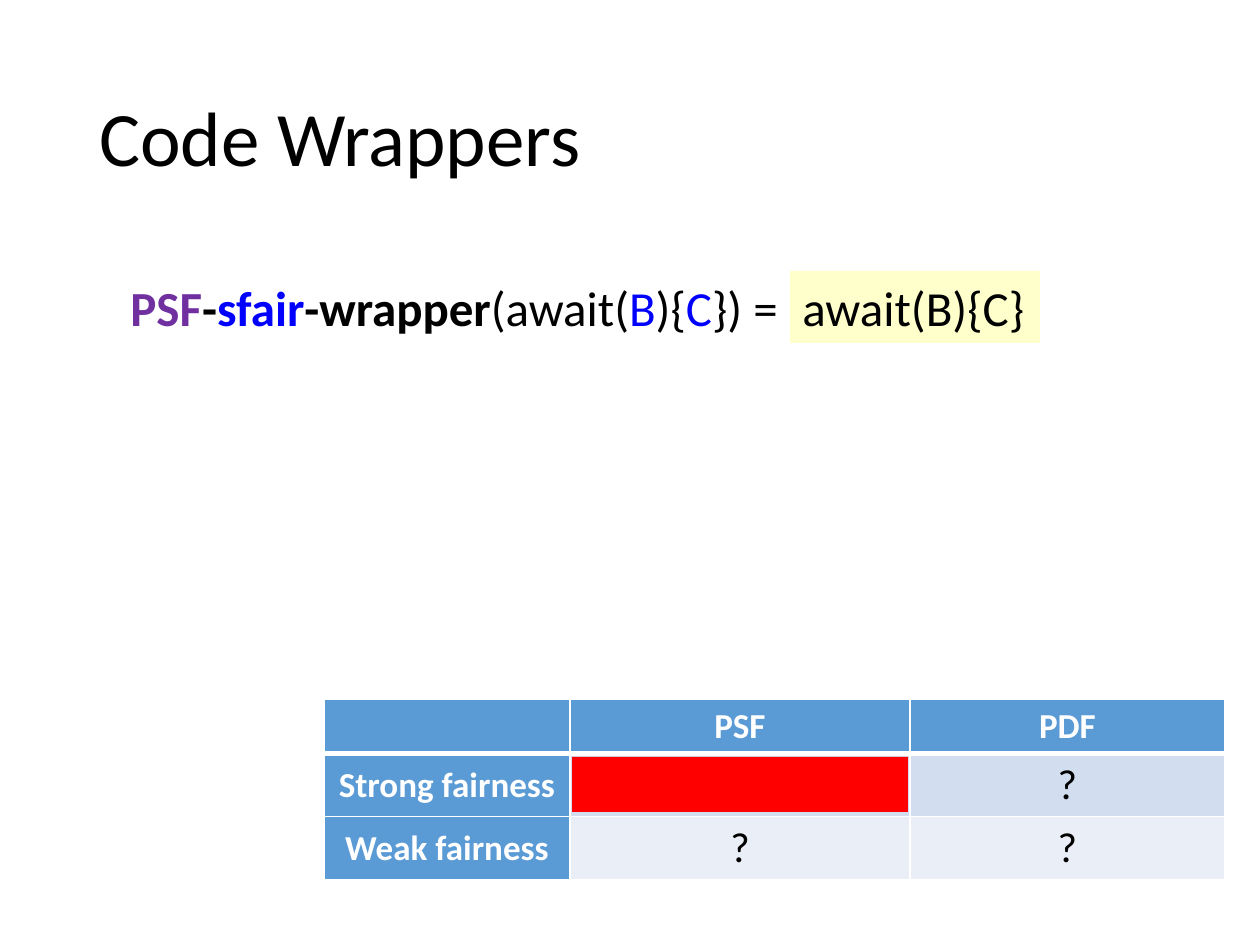
from dataclasses import dataclass
from typing import Optional

import lxml.etree
import pptx
import pptx.dml.color
import pptx.enum.shapes
import pptx.enum.text
import pptx.oxml.ns
import pptx.util

RGBColor = pptx.dml.color.RGBColor
MSO_ANCHOR = pptx.enum.text.MSO_ANCHOR

BLACK = RGBColor(0x00, 0x00, 0x00)
WHITE = RGBColor(0xFF, 0xFF, 0xFF)
PURPLE = RGBColor(0x70, 0x30, 0xA0)
BLUE = RGBColor(0x00, 0x00, 0xFF)
RED = RGBColor(0xFF, 0x00, 0x00)
YELLOW = RGBColor(0xFF, 0xFF, 0xCC)
HEADER = RGBColor(0x5B, 0x9B, 0xD5)
BANDS = (RGBColor(0xD2, 0xDE, 0xEF), RGBColor(0xEA, 0xEF, 0xF7))

FONT = "Calibri"
PX_PER_INCH = 126


@dataclass(frozen=True)
class Box:
    left: int
    top: int
    width: int
    height: int

    def emu(self) -> tuple:
        return px(self.left), px(self.top), px(self.width), px(self.height)


@dataclass(frozen=True)
class Span:
    text: str
    color: RGBColor = BLACK
    bold: bool = False


TITLE = [Span("Code Wrappers")]
WRAPPER = [
    Span("PSF", PURPLE, True),
    Span("-", bold=True),
    Span("sfair", BLUE, True),
    Span("-wrapper", bold=True),
    Span("(await("),
    Span("B", BLUE),
    Span("){"),
    Span("C", BLUE),
    Span("}) ="),
]
RESULT = [Span("await(B){C}")]

TABLE_BOX = Box(324, 699, 901, 180)
COLUMNS = (246, 340, 315)
ROWS = (54, 63, 63)
CELLS = (
    ("", "PSF", "PDF"),
    ("Strong fairness", "", "?"),
    ("Weak fairness", "?", "?"),
)


def px(n: int) -> int:
    return round(n * 914400 / PX_PER_INCH)


def write(p, spans: list[Span], size: int) -> None:
    for span in spans:
        r = p.add_run()
        r.text = span.text
        r.font.name = FONT
        r.font.size = pptx.util.Pt(size)
        r.font.bold = span.bold
        r.font.color.rgb = span.color


def add_text(s, box: Box, spans: list[Span], size: int,
             anchor=MSO_ANCHOR.TOP, spacing: float = 1.0) -> None:
    sp = s.shapes.add_textbox(*box.emu())
    tf = sp.text_frame
    tf.word_wrap = True
    tf.vertical_anchor = anchor
    p = tf.paragraphs[0]
    p.line_spacing = spacing
    write(p, spans, size)


def add_rect(s, box: Box, fill: RGBColor, spans: Optional[list[Span]] = None) -> None:
    sp = s.shapes.add_shape(pptx.enum.shapes.MSO_SHAPE.RECTANGLE, *box.emu())
    sp.shadow.inherit = False
    sp.fill.solid()
    sp.fill.fore_color.rgb = fill
    sp.line.fill.background()
    if spans:
        tf = sp.text_frame
        tf.word_wrap = True
        tf.vertical_anchor = MSO_ANCHOR.TOP
        p = tf.paragraphs[0]
        p.alignment = pptx.enum.text.PP_ALIGN.LEFT
        write(p, spans, 28)


def set_borders(cell, row: int) -> None:
    qn = pptx.oxml.ns.qn
    widths = {"L": 1, "R": 1, "T": 3 if row == 1 else 1, "B": 3 if row == 0 else 1}
    tc_pr = cell._tc.get_or_add_tcPr()
    for side, width in widths.items():
        ln = lxml.etree.SubElement(tc_pr, qn(f"a:ln{side}"), w=str(pptx.util.Pt(width)))
        fill = lxml.etree.SubElement(ln, qn("a:solidFill"))
        lxml.etree.SubElement(fill, qn("a:srgbClr"), val=str(WHITE))


def add_fairness_table(s) -> None:
    table = s.shapes.add_table(len(ROWS), len(COLUMNS), *TABLE_BOX.emu()).table
    for column, width in zip(table.columns, COLUMNS):
        column.width = px(width)
    for i, (row, height) in enumerate(zip(table.rows, ROWS)):
        row.height = px(height)
        for j, text in enumerate(CELLS[i]):
            heading = i == 0 or j == 0
            cell = table.cell(i, j)
            set_borders(cell, i)
            cell.fill.solid()
            cell.fill.fore_color.rgb = HEADER if heading else BANDS[i - 1]
            cell.vertical_anchor = MSO_ANCHOR.MIDDLE
            p = cell.text_frame.paragraphs[0]
            p.alignment = pptx.enum.text.PP_ALIGN.CENTER
            if text:
                color = WHITE if heading else BLACK
                write(p, [Span(text, color, heading)], 20 if heading else 24)


def main() -> None:
    prs = pptx.Presentation()
    prs.slide_width = px(1260)
    prs.slide_height = px(945)
    s = prs.slides.add_slide(prs.slide_layouts[6])
    add_text(s, Box(87, 50, 1086, 183), TITLE, 44, MSO_ANCHOR.MIDDLE, 0.9)
    add_text(s, Box(118, 271, 714, 72), WRAPPER, 28)
    add_rect(s, Box(790, 271, 250, 72), YELLOW, RESULT)
    add_fairness_table(s)
    add_rect(s, Box(572, 757, 336, 55), RED)
    prs.save("out.pptx")


if __name__ == "__main__":
    main()
